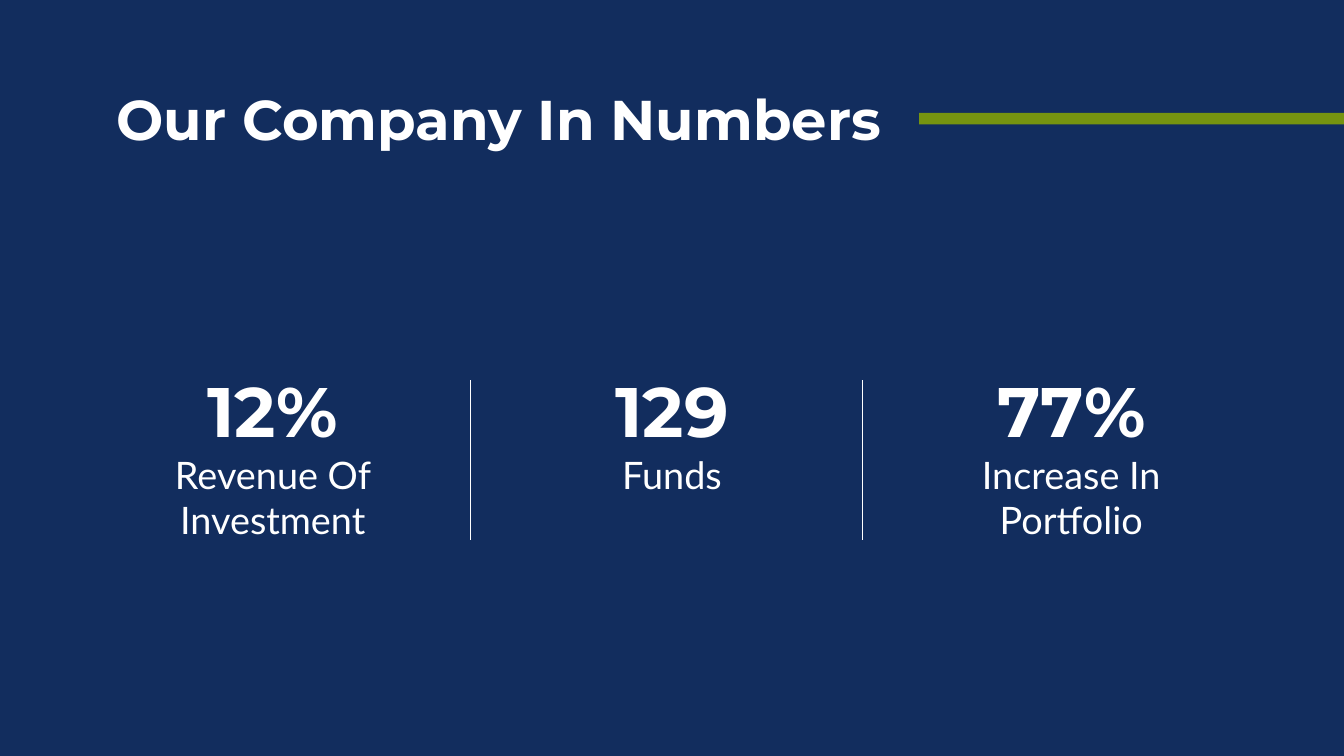
from typing import NamedTuple

from lxml.etree import SubElement
from pptx import Presentation
from pptx.dml.color import RGBColor
from pptx.enum.shapes import MSO_CONNECTOR as Conn, MSO_SHAPE as Kind
from pptx.enum.text import MSO_AUTO_SIZE as Fit, PP_ALIGN as Align
from pptx.oxml.ns import qn
from pptx.util import Pt

WIDE, HIGH = 1919.52, 1080
NAVY, GREEN, WHITE = "122D5E", "769410", "FFFFFF"
HEAD, BODY = "Montserrat", "Lato"
MID = WIDE / 2
PITCH = 570.25  # between the centres of the figures
COL = 338.4
RULES = (671.8, 1231.9)  # x of each divider


class Box(NamedTuple):
    left: float
    top: float
    width: float
    height: float


class Stat(NamedTuple):
    value: str
    label: str
    height: float


STATS = [
    Stat("12%", "Revenue Of Investment", 259.2),
    Stat("129", "Funds", 193.7),
    Stat("77%", "Increase In Portfolio", 259.2),
]


def color(code: str) -> RGBColor:
    return RGBColor.from_string(code)


def add_rect(slide, box: Box, fill: str) -> None:
    rect = slide.shapes.add_shape(Kind.RECTANGLE, *map(Pt, box))
    rect.shadow.inherit = False
    rect.fill.solid()
    rect.fill.fore_color.rgb = color(fill)
    rect.line.fill.background()


def add_frame(slide, box: Box):
    frame = slide.shapes.add_textbox(*map(Pt, box)).text_frame
    frame.word_wrap = True
    frame.auto_size = Fit.SHAPE_TO_FIT_TEXT
    return frame


def write(para, text: str, *, size: float, face: str = HEAD,
          bold: bool = True, align=Align.LEFT) -> None:
    para.alignment = align
    run = para.add_run()
    run.text = text
    font = run.font
    font.name, font.size, font.bold = face, Pt(size), bold
    font.color.rgb = color(WHITE)


def add_stat(slide, stat: Stat, center: float) -> None:
    frame = add_frame(slide, Box(center - COL / 2, 521.3, COL, stat.height))
    write(frame.paragraphs[0], stat.value, size=100, align=Align.CENTER)
    write(frame.add_paragraph(), stat.label, size=54, face=BODY,
          bold=False, align=Align.CENTER)


def add_rule(slide, x: float) -> None:
    """Draw a thin vertical divider."""
    rule = slide.shapes.add_connector(
        Conn.STRAIGHT, Pt(x), Pt(542.9), Pt(x), Pt(771.8))
    rule.line.color.rgb = color(WHITE)
    rule.line.width = Pt(0.5)
    SubElement(rule._element.spPr, qn("a:effectLst"))


def main() -> None:
    deck = Presentation()
    deck.slide_width, deck.slide_height = Pt(WIDE), Pt(HIGH)
    slide = deck.slides.add_slide(deck.slide_layouts[6])

    add_rect(slide, Box(0, 0, WIDE, HIGH), NAVY)
    title = add_frame(slide, Box(159.1, 117.4, 1170, 104.4))
    write(title.paragraphs[0], "Our Company In Numbers", size=80)
    add_rect(slide, Box(1312.6, 161.3, WIDE - 1312.6, 16.6), GREEN)

    for i, stat in enumerate(STATS):
        add_stat(slide, stat, MID + (i - 1) * PITCH)
    for x in RULES:
        add_rule(slide, x)

    deck.save("out.pptx")


if __name__ == "__main__":
    main()
